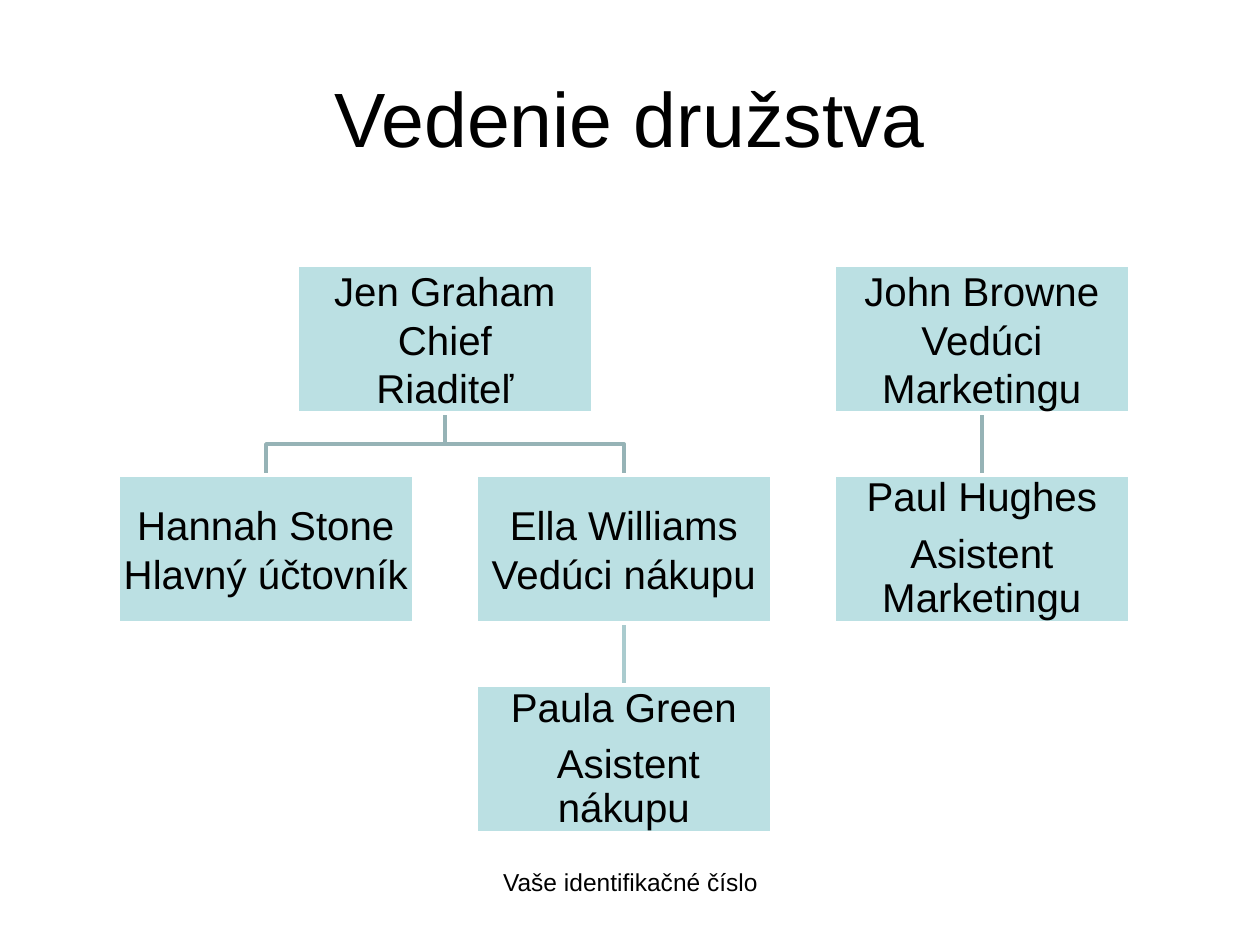
from lxml.etree import SubElement
from pptx import Presentation
from pptx.dml.color import RGBColor
from pptx.enum.shapes import MSO_CONNECTOR, MSO_SHAPE
from pptx.enum.text import MSO_ANCHOR, PP_ALIGN
from pptx.oxml.ns import qn
from pptx.util import Pt

# Content: key -> (half column, row, lines of text, format of the paragraphs)
LOOSE = {"line_spacing": 0.9, "space_after": Pt(7.5)}
STAFF = {
    "chief": (1, 0, ["Jen Graham", "Chief", "Riaditeľ"], {}),
    "books": (0, 1, ["Hannah Stone", "Hlavný účtovník"], {}),
    "buyer": (2, 1, ["Ella Williams", "Vedúci nákupu"], {}),
    "buyer aide": (2, 2, ["Paula Green", " Asistent nákupu"], LOOSE),
    "market": (4, 0, ["John Browne", "Vedúci Marketingu"], {}),
    "market aide": (4, 1, ["Paul Hughes", "Asistent Marketingu"], LOOSE),
}
DIRECT = [("market", "market aide", "96B3B6"), ("buyer", "buyer aide", "AACBCE")]
FORKS = [("chief", "buyer"), ("chief", "books")]
LABELS = [
    ("Vedenie družstva", (63, 38, 1134, 158), 44, MSO_ANCHOR.MIDDLE),
    ("Vaše identifikačné číslo", (431, 861, 399, 66), 14, MSO_ANCHOR.TOP),
]

# Layout in px
LEFT, TOP, WIDE, HIGH = 118, 265, 296, 148
STEP_X, STEP_Y = 179, 210
INSET = 3


def px(n):
    return round(n * 914400 / 126)


def color(code):
    return RGBColor.from_string(code)


def write(shape, lines, size, anchor, style):
    frame = shape.text_frame
    frame.word_wrap = True
    frame.vertical_anchor = anchor
    for i, line in enumerate(lines):
        para = frame.paragraphs[0] if i == 0 else frame.add_paragraph()
        para.text = line
        for name, value in {"alignment": PP_ALIGN.CENTER, **style}.items():
            setattr(para, name, value)
        for name, value in {"name": "Arial", "size": Pt(size)}.items():
            setattr(para.font, name, value)
        para.font.color.rgb = color("000000")


def stroke(shape, code):
    shape.line.color.rgb = color(code)
    shape.line.width = Pt(2)


def send_back(shape):
    tree.remove(shape._element)
    tree.insert(2, shape._element)


deck = Presentation()
deck.slide_width, deck.slide_height = px(1260), px(945)
slide = deck.slides.add_slide(deck.slide_layouts[6])
shapes = slide.shapes
tree = shapes._spTree

# Title and footer
for text, place, size, anchor in LABELS:
    label = shapes.add_textbox(*map(px, place))
    write(label, [text], size, anchor, {})

# Staff boxes
boxes = {}
for key, (col, row, lines, style) in STAFF.items():
    place = LEFT + col * STEP_X, TOP + row * STEP_Y, WIDE, HIGH
    box = shapes.add_shape(MSO_SHAPE.RECTANGLE, *map(px, place))
    box.shadow.inherit = False
    box.fill.solid()
    box.fill.fore_color.rgb = color("BBE0E3")
    stroke(box, "FFFFFF")
    for side in ("left", "top", "right", "bottom"):
        setattr(box.text_frame, "margin_" + side, px(INSET))
    write(box, lines, 23, MSO_ANCHOR.MIDDLE, style)
    boxes[key] = box

# Straight links, behind the boxes
for boss, aide, code in DIRECT:
    link = shapes.add_connector(MSO_CONNECTOR.STRAIGHT, 0, 0, 0, 0)
    link.begin_connect(boxes[boss], 2)
    link.end_connect(boxes[aide], 0)
    stroke(link, code)
    SubElement(link._element.spPr, qn("a:effectLst"))
    send_back(link)

# Forked links, behind the boxes
for boss, aide in FORKS:
    a, b = boxes[boss], boxes[aide]
    x1, y1 = a.left + a.width // 2, a.top + a.height
    x2, y2 = b.left + b.width // 2, b.top
    mid = (y1 + y2) // 2
    pen = shapes.build_freeform(x1, y1)
    pen.add_line_segments([(x1, mid), (x2, mid), (x2, y2)], close=False)
    fork = pen.convert_to_shape()
    fork.shadow.inherit = False
    fork.fill.background()
    stroke(fork, "96B3B6")
    send_back(fork)

deck.save("out.pptx")
